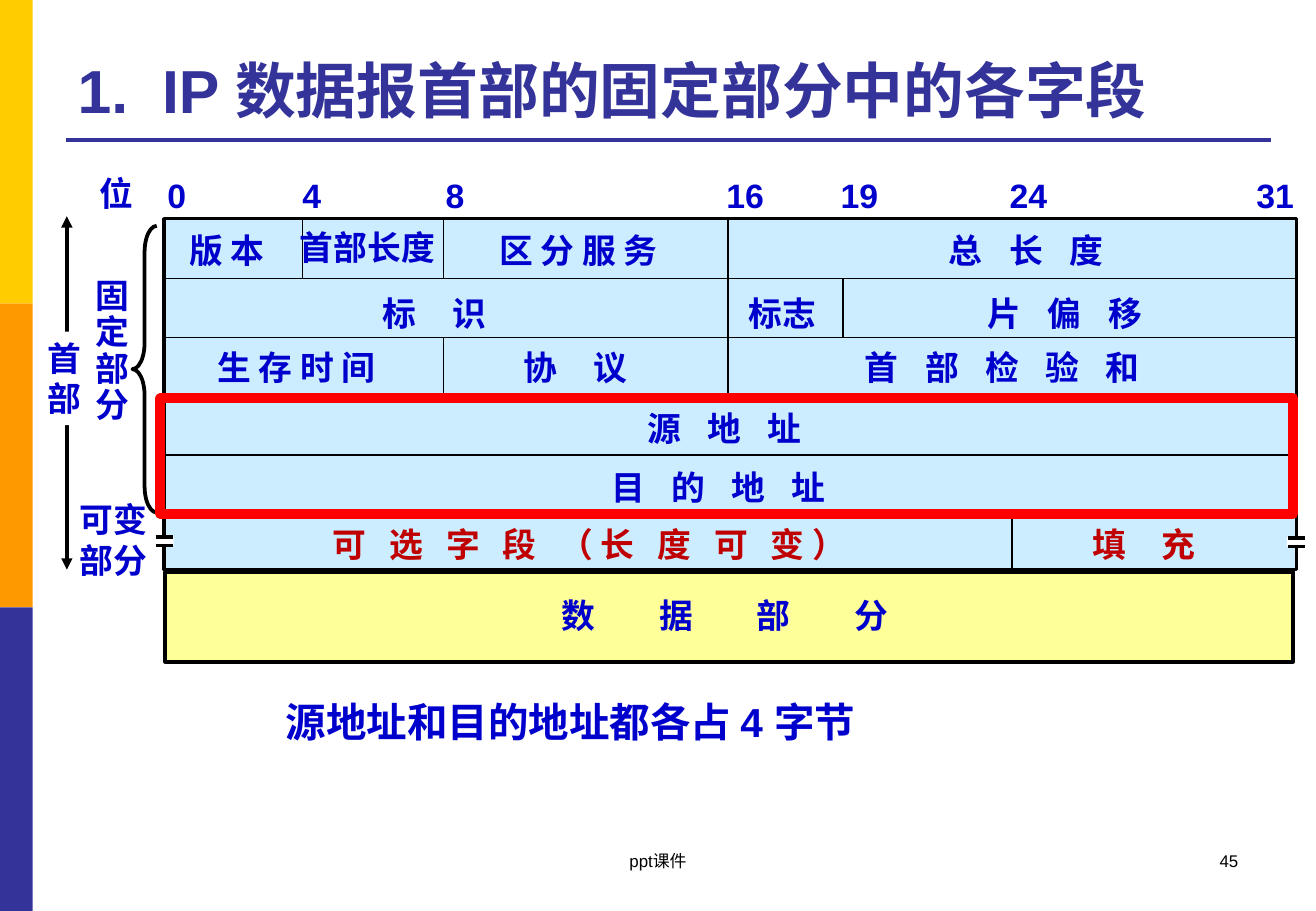
from lxml import etree
from pptx import Presentation
from pptx import util as u
from pptx.dml.color import RGBColor
from pptx.enum import shapes, text
from pptx.oxml.ns import qn

COLUMNS, ROWS = 1083, 750  # layout grid of the whole slide
BLUE, RED, INDIGO, BLACK, WHITE = "0000CC", "C00000", "333399", "000000", "FFFFFF"
LEFT, CENTER, RIGHT = text.PP_ALIGN.LEFT, text.PP_ALIGN.CENTER, text.PP_ALIGN.RIGHT


def color(hex_value):
    return RGBColor.from_string(hex_value)


class Board:
    """Holds the text style and the current slide; lengths are grid columns and rows."""

    style = {"name": "Arial", "size": u.Pt(20), "bold": True}

    def __init__(self, deck):
        self.slide = deck.slides.add_slide(deck.slide_layouts[6])
        self.column = deck.slide_width / COLUMNS
        self.row = deck.slide_height / ROWS

    def place(self, x, y, w, h):
        return (round(x * self.column), round(y * self.row),
                round(w * self.column), round(h * self.row))

    def box(self, x, y, w, h, fill=None, line=None, weight=2, kind="RECTANGLE"):
        preset = getattr(shapes.MSO_SHAPE, kind)
        shape = self.slide.shapes.add_shape(preset, *self.place(x, y, w, h))
        shape.shadow.inherit = False
        if fill:
            shape.fill.solid()
            shape.fill.fore_color.rgb = color(fill)
        else:
            shape.fill.background()
        if line:
            shape.line.color.rgb = color(line)
            shape.line.width = u.Pt(weight)
        else:
            shape.line.fill.background()
        return shape

    def line(self, x1, y1, x2, y2, weight=1, ink=BLACK, arrows=False):
        ends = self.place(x1, y1, x2, y2)
        rule = self.slide.shapes.add_connector(shapes.MSO_CONNECTOR.STRAIGHT, *ends)
        rule.line.color.rgb = color(ink)
        rule.line.width = u.Pt(weight)
        properties = rule.line._get_or_add_ln()
        for end in ("a:headEnd", "a:tailEnd") if arrows else ():
            etree.SubElement(properties, qn(end), type="triangle")
        etree.SubElement(rule._element.spPr, qn("a:effectLst"))

    def label(self, x, y, w, h, *lines, ink=BLUE, gap=0, wrap=False, align=LEFT,
              spacing=None, anchor=text.MSO_ANCHOR.TOP, fill=None, **changes):
        """Each line is a string, or a list of (words, letter gap in points)."""
        holder = self.slide.shapes.add_textbox(*self.place(x, y, w, h))
        if fill:
            holder.fill.solid()
            holder.fill.fore_color.rgb = color(fill)
        frame = holder.text_frame
        fit = text.MSO_AUTO_SIZE.NONE if wrap else text.MSO_AUTO_SIZE.SHAPE_TO_FIT_TEXT
        layout = {"word_wrap": wrap, "auto_size": fit, "vertical_anchor": anchor}
        for name, value in layout.items():
            setattr(frame, name, value)
        for number, line in enumerate(lines):
            paragraph = frame.add_paragraph() if number else frame.paragraphs[0]
            paragraph.alignment = align
            paragraph.line_spacing = spacing
            for words, run_gap in [(line, gap)] if isinstance(line, str) else line:
                run = paragraph.add_run()
                run.text = words
                for name, value in {**self.style, **changes}.items():
                    setattr(run.font, name, value)
                run.font.color.rgb = color(ink)
                if run_gap:
                    run.font._element.set("spc", str(round(run_gap * 100)))


def main():
    deck = Presentation()
    deck.slide_width, deck.slide_height = u.Inches(10.83), u.Inches(7.5)
    board = Board(deck)

    # Side stripes and title
    for band, fill in enumerate(("FFCC00", "FF9900", INDIGO)):
        board.box(0, band * 250, 27, 250, fill)
    board.line(54, 115, 1046, 115, 2.25, INDIGO)
    board.label(54, 21, 991, 87, [("1.", 0), (" ", 10), ("IP 数据报首部的固定部分中的各字段", 0)],
                ink=INDIGO, wrap=True, anchor=text.MSO_ANCHOR.BOTTOM, size=u.Pt(36))

    # Header and data areas
    board.box(135, 180, 932, 289, "CCECFF", BLACK)
    board.box(136, 471, 928, 74, "FFFF99", BLACK, 2.25)

    # Row rules, then field dividers as (column, first row, last row)
    edges = [181 + 48.4 * row for row in range(7)]
    for edge in edges[1:-1]:
        board.line(134, edge, 1068, edge)
    dividers = [(249, 0, 1), (365, 0, 1), (365, 2, 3), (599, 0, 3), (694, 1, 2), (833, 5, 6)]
    for x, first, last in dividers:
        board.line(x, edges[first], x, edges[last])

    # Bit numbers
    board.label(72, 137, 48, 44, "位")
    bits = {0: 128, 4: 239, 8: 357, 16: 588, 19: 682, 24: 821, 31: 1024}
    for bit, x in bits.items():
        board.label(x, 139, 36 if bit < 10 else 51, 44, str(bit))

    # Field names: words, left, top, width, letter gap, colour
    fields = [
        ("版 本", 146, 184, 84, 0, BLUE),
        ("首部长度", 237, 182, 132, 0, BLUE),
        ("区 分 服 务", 401, 184, 156, 0, BLUE),
        ("总 长 度", 771, 184, 151, 5.56, BLUE),
        ("标 识", 305, 236, 107, 8.34, BLUE),
        ("标志", 606, 236, 76, 0, BLUE),
        ("片 偏 移", 803, 236, 151, 5.56, BLUE),
        ("生 存 时 间", 169, 281, 156, 0, BLUE),
        ("协 议", 421, 281, 107, 8.34, BLUE),
        ("首 部 检 验 和", 702, 281, 254, 5.56, BLUE),
        ("源 地 址", 523, 331, 151, 5.56, BLUE),
        ("目 的 地 址", 493, 379, 202, 5.56, BLUE),
        ("可 选 字 段 （长 度 可 变）", 264, 426, 456, 4.5, RED),
        ("填 充", 889, 426, 107, 8.34, RED),
    ]
    for words, x, y, width, gap, ink in fields:
        board.label(x, y, width, 44, words, ink=ink, gap=gap)
    board.label(452, 485, 345, 44, "数 据 部 分", gap=16.7, wrap=True)

    # Break marks on both sides of the variable row
    for x, y in ((127, 441), (1059, 442)):
        board.box(x, y, 16, 8, WHITE)
        for offset in (1, 8):
            board.line(x + 1, y + offset, x + 15, y + offset, 2)

    # Extent of the header and its two parts
    board.line(55, 178, 55, 469, 2.25, arrows=True)
    board.label(29, 273, 48, 77, "首", "部", fill=WHITE)
    board.label(69, 225, 48, 131, *"固定部分", spacing=0.9)
    board.label(56, 406, 76, 77, "可变", "部分")
    brace = board.box(109, 186, 20, 236, None, BLACK, 2.25, "LEFT_BRACE")
    brace.adjustments[0] = 1.08

    # Address highlight and its remark
    board.box(132, 328, 932, 95, None, "FF0000", 6)
    board.label(221, 569, 497, 51, "源地址和目的地址都各占 4 字节",
                wrap=True, align=CENTER, size=u.Pt(24))

    # Footer
    footer = {"ink": BLACK, "wrap": True, "size": u.Pt(10), "bold": False}
    board.label(370, 695, 343, 50, "ppt课件", align=CENTER, **footer)
    board.label(776, 695, 253, 50, "45", align=RIGHT, **footer)

    deck.save("out.pptx")


if __name__ == "__main__":
    main()
